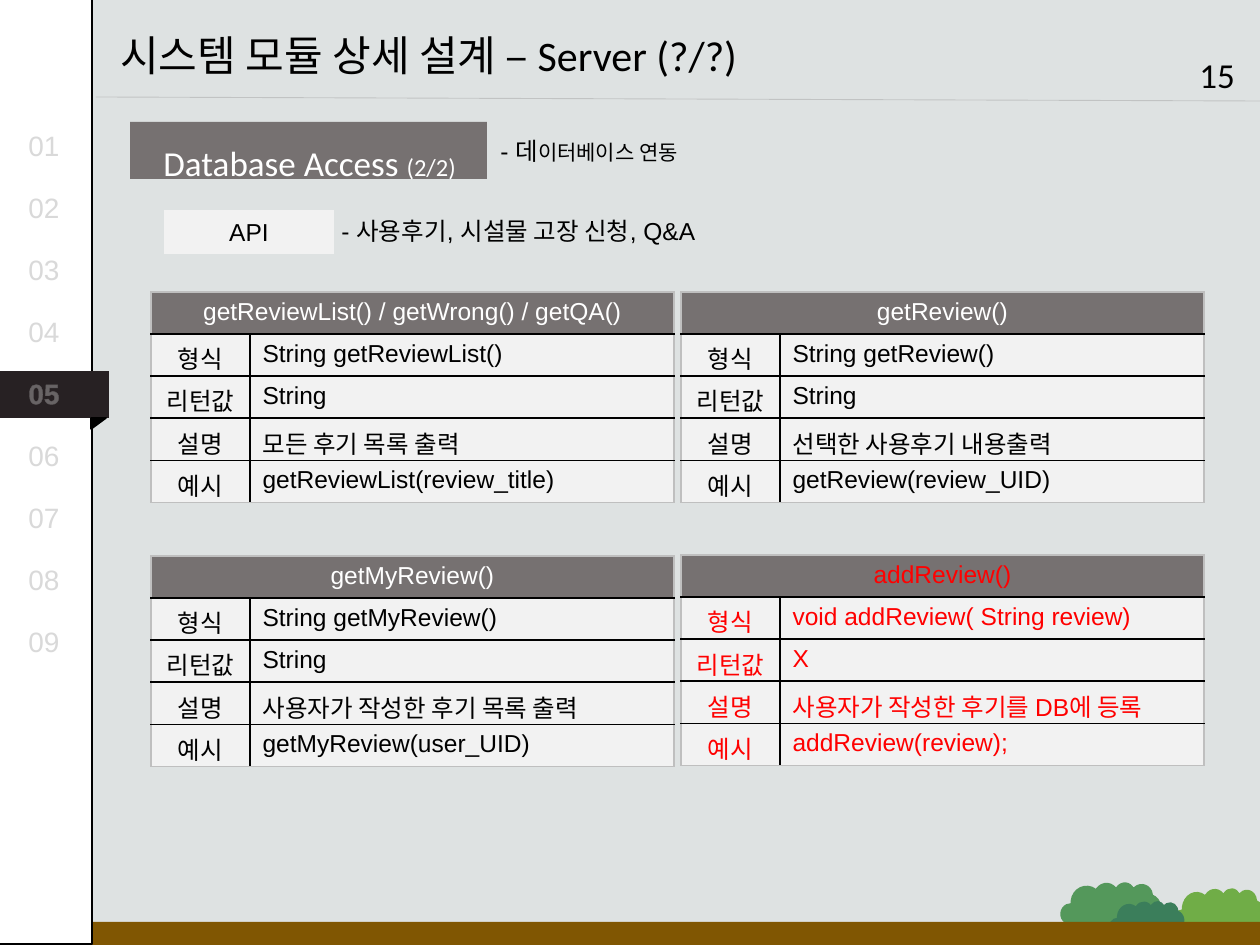
from lxml.etree import SubElement
from pptx import Presentation
from pptx.dml.color import RGBColor
from pptx.enum.shapes import MSO_CONNECTOR, MSO_SHAPE
from pptx.enum.text import MSO_ANCHOR, PP_ALIGN
from pptx.oxml.ns import qn
from pptx.util import Pt

SCALE = 914400 / 126
BLACK = RGBColor(0x00, 0x00, 0x00)
WHITE = RGBColor(0xFF, 0xFF, 0xFF)
RED = RGBColor(0xFF, 0x00, 0x00)
BACK = RGBColor(0xDE, 0xE2, 0xE2)
GREY = RGBColor(0x76, 0x71, 0x71)
PALE = RGBColor(0xF2, 0xF2, 0xF2)
MUTED = RGBColor(0xD9, 0xD9, 0xD9)
EDGE = RGBColor(0xBF, 0xBF, 0xBF)
RULE = RGBColor(0xA6, 0xA6, 0xA6)
DARK = RGBColor(0x27, 0x21, 0x23)
BROWN = RGBColor(0x80, 0x56, 0x02)
LIME = RGBColor(0x70, 0xAD, 0x47)
GREEN = RGBColor(0x54, 0x98, 0x5B)
TEAL = RGBColor(0x3B, 0x7E, 0x5B)


def px(*sizes):
    return [round(size * SCALE) for size in sizes]


def add_line(node, tag, place, points, color, alpha=None):
    line = node.makeelement(qn(tag), {"w": str(Pt(points))})
    fill = SubElement(line, qn("a:solidFill"))
    tint = SubElement(fill, qn("a:srgbClr"), val=str(color))
    if alpha:
        SubElement(tint, qn("a:alpha"), val=str(alpha * 1000))
    node.insert(place, line)


def write(frame, *runs, size=14, color=BLACK, font="Arial", bold=False,
          align=PP_ALIGN.LEFT, space=None, outline=None):
    para = frame.paragraphs[0]
    para.alignment = align
    if space:
        para.line_spacing = space
    for item in runs:
        words, points = item if isinstance(item, tuple) else (item, size)
        run = para.add_run()
        run.text = words
        run.font.size = Pt(points)
        run.font.name = font
        run.font.bold = bold
        run.font.color.rgb = color
        if outline:
            add_line(run.font._element, "a:ln", 0, 0.75, outline, 30)


def label(slide, box, *runs, wrap=True, **style):
    frame = slide.shapes.add_textbox(*px(*box)).text_frame
    frame.word_wrap = wrap
    write(frame, *runs, **style)


def block(slide, kind, box, fill, line=None, turn=0):
    shape = slide.shapes.add_shape(kind, *px(*box))
    shape.shadow.inherit = False
    shape.rotation = turn
    shape.fill.solid()
    shape.fill.fore_color.rgb = fill
    if line is None:
        shape.line.fill.background()
    else:
        shape.line.color.rgb = line
        shape.line.width = Pt(1)
    return shape


def scene(slide, x, y, w, h):
    bushes = [(1172, 887, 93, 78, LIME), (1060, 881, 102, 78, GREEN),
              (1109, 900, 76, 62, TEAL)]
    for left, top, wide, high, color in bushes:
        block(slide, MSO_SHAPE.CLOUD, (x + left, y + top, wide, high),
              color, turn=5.4)
    block(slide, MSO_SHAPE.RECTANGLE, (x, y + h - 23, w, 23), BROWN)


def header(slide, x, y, w):
    rule = slide.shapes.add_connector(
        MSO_CONNECTOR.STRAIGHT, *px(x + w, y + 101, x, y + 97))
    rule.line.color.rgb = RULE
    rule.line.width = Pt(0.5)
    props = rule._element.spPr
    tint = props.find(".//" + qn("a:srgbClr"))
    SubElement(tint, qn("a:alpha"), val="50000")
    SubElement(props, qn("a:effectLst"))
    label(slide, (x + 12, y + 23, 665, 63),
          "시스템 모듈 상세 설계 – Server (?/?)",
          wrap=False, size=24, font="Calibri")
    label(slide, (x + 1091, y + 47, 68, 55), "15", size=20, font="Calibri")


def sidebar(slide, x, y, w, h):
    block(slide, MSO_SHAPE.RECTANGLE, (x, y, w, h), WHITE, BLACK)
    block(slide, MSO_SHAPE.RECTANGLE, (x - 1, y + 372, 115, 47), DARK)
    block(slide, MSO_SHAPE.RIGHT_TRIANGLE, (x + 98, y + 417, 11, 15),
          BLACK, BLACK, turn=90)
    for index in range(9):
        live = index == 4
        label(slide, (x + 21, y + 123 + 62 * index, 74 if live else 62, 47),
              f"{index + 1:02}", size=16, bold=live,
              color=WHITE if live else MUTED,
              outline=MUTED if live else BLACK)


def topic(slide, x, y):
    block(slide, MSO_SHAPE.RECTANGLE, (x, y, 357, 57), GREY)
    label(slide, (x + 21, y - 29, 355, 97), "Database Access ", ("(2/2)", 14),
          size=20, color=WHITE, font="Calibri", space=2)
    label(slide, (x + 358, y + 8, 523, 43), "- 데", ("이터베이스 연동", 12))
    tag = block(slide, MSO_SHAPE.FLOWCHART_PROCESS,
                (x + 34, y + 88, 170, 44), PALE)
    tag.text_frame.vertical_anchor = MSO_ANCHOR.MIDDLE
    write(tag.text_frame, "API", align=PP_ALIGN.CENTER)
    label(slide, (x + 199, y + 88, 523, 43), "- 사용후기, 시설물 고장 신청, Q&A")


def border(cell, sides):
    props = cell._tc.get_or_add_tcPr()
    for place, (side, color) in enumerate(sides.items()):
        add_line(props, "a:ln" + side, place, 1, color)


def method(slide, x, y, name, values, head=WHITE, ink=BLACK):
    rows = [(name, "")] + list(zip(("형식", "리턴값", "설명", "예시"), values))
    count = len(rows)
    table = slide.shapes.add_table(count, 2, *px(x, y, 523, 42 * count)).table
    table.columns[0].width, table.columns[1].width = px(99, 424)
    for row in table.rows:
        row.height = px(42)[0]
    table.cell(0, 0).merge(table.cell(0, 1))
    for r, pair in enumerate(rows):
        for c, words in enumerate(pair):
            cell = table.cell(r, c)
            cell.fill.solid()
            cell.fill.fore_color.rgb = PALE if r else GREY
            border(cell, {"L": BLACK if c and r else EDGE,
                          "R": EDGE if c or not r else BLACK,
                          "T": BLACK if r else EDGE,
                          "B": BLACK if r < count - 1 else EDGE})
            if words:
                write(cell.text_frame, words, color=ink if r else head,
                      align=PP_ALIGN.LEFT if c else PP_ALIGN.CENTER)


deck = Presentation()
deck.slide_width, deck.slide_height = px(1260, 945)
slide = deck.slides.add_slide(deck.slide_layouts[6])
slide.background.fill.solid()
slide.background.fill.fore_color.rgb = BACK

scene(slide, 0, 0, 1260, 945)
header(slide, 96, 0, 1164)
sidebar(slide, -5, -1, 97, 945)
topic(slide, 130, 122)
method(slide, 151, 292, "getReviewList() / getWrong() / getQA()",
       ("String getReviewList()", "String", "모든 후기 목록 출력",
        "getReviewList(review_title)"))
method(slide, 681, 292, "getReview()",
       ("String getReview()", "String", "선택한 사용후기 내용출력",
        "getReview(review_UID)"))
method(slide, 151, 556, "getMyReview()",
       ("String getMyReview()", "String", "사용자가 작성한 후기 목록 출력",
        "getMyReview(user_UID)"))
method(slide, 681, 555, "addReview()",
       ("void addReview( String review)", "X", "사용자가 작성한 후기를 DB에 등록",
        "addReview(review);"), head=RED, ink=RED)
deck.save("out.pptx")
